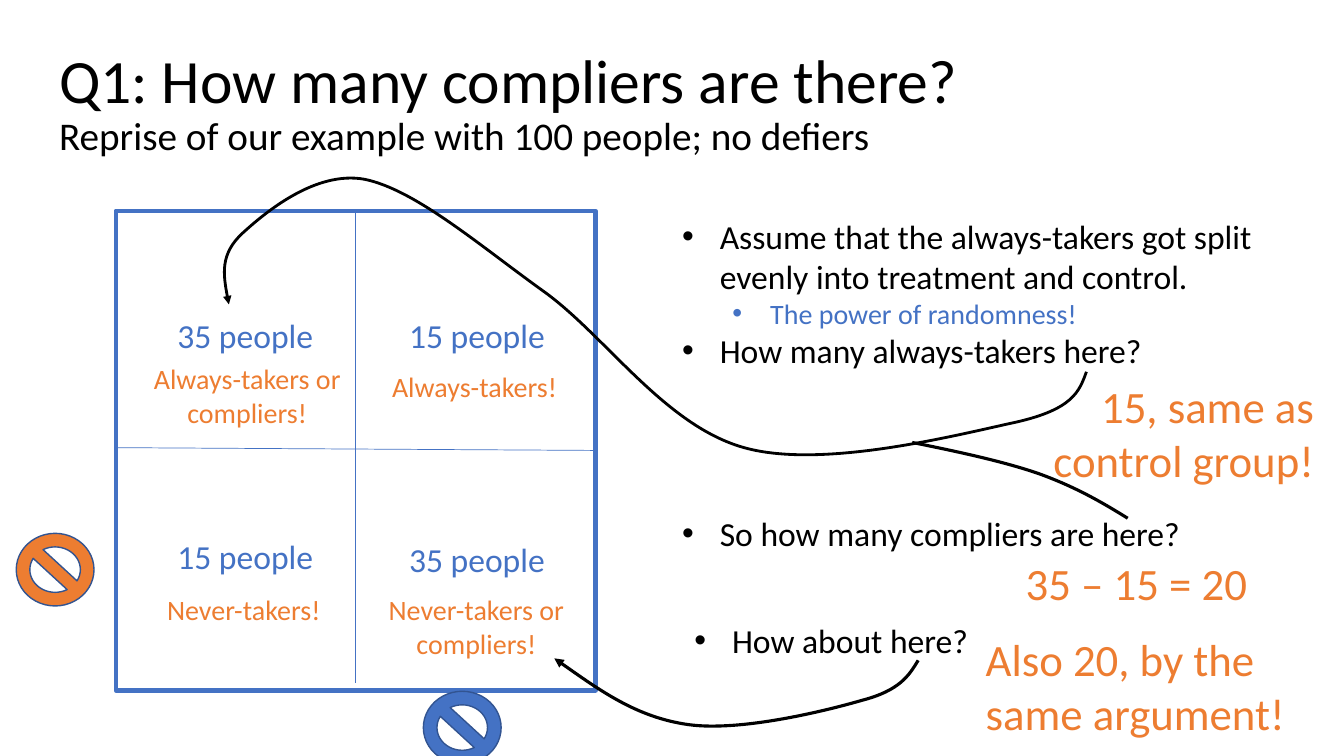
from pptx import Presentation
from pptx.dml.color import RGBColor
from pptx.enum.shapes import MSO_CONNECTOR, MSO_SHAPE
from pptx.enum.text import MSO_ANCHOR, PP_ALIGN
from pptx.oxml import parse_xml
from pptx.oxml.ns import nsdecls, qn
from pptx.oxml.xmlchemy import OxmlElement
from pptx.util import Cm, Pt

COLORS = {"ink": "000000", "blue": "4472C4", "orange": "ED7D31", "edge": "325491"}
FORMATS = {
    "title": {"size": 44, "color": "ink"},
    "subtitle": {"size": 28, "color": "ink"},
    "count": {"size": 24, "color": "blue"},
    "group": {"size": 20, "color": "orange"},
    "question": {"size": 24, "color": "ink"},
    "remark": {"size": 20, "color": "blue"},
    "answer": {"size": 32, "color": "orange"},
}


def rgb(name):
    return RGBColor.from_string(COLORS[name])


def style_font(font, kind):
    fmt = FORMATS[kind]
    for name, value in {"name": "Calibri", "size": Pt(fmt["size"])}.items():
        setattr(font, name, value)
    font.color.rgb = rgb(fmt["color"])


def style_line(sp, color, width):
    sp.line.color.rgb = rgb(color)
    sp.line.width = Pt(width)


def text_frame(s, x, y, w, h, anchor=MSO_ANCHOR.TOP):
    tf = s.shapes.add_textbox(Cm(x), Cm(y), Cm(w), Cm(h)).text_frame
    for name, value in {"word_wrap": True, "vertical_anchor": anchor}.items():
        setattr(tf, name, value)
    return tf


def add_text(s, x, y, w, h, text, kind, align=PP_ALIGN.LEFT):
    p = text_frame(s, x, y, w, h).paragraphs[0]
    p.alignment = align
    r = p.add_run()
    r.text = text
    style_font(r.font, kind)


def add_bullets(s, x, y, w, h, items):
    tf = text_frame(s, x, y, w, h)
    for i, (text, kind, level) in enumerate(items):
        p = tf.paragraphs[0] if i == 0 else tf.add_paragraph()
        p.level = level
        pPr = p._p.get_or_add_pPr()
        pPr.set("marL", str(Cm(0.95 + 1.27 * level)))
        pPr.set("indent", str(Cm(-0.95)))
        pPr.append(parse_xml(f'<a:buFont {nsdecls("a")} typeface="Arial"/>'))
        pPr.append(parse_xml(f'<a:buChar {nsdecls("a")} char="•"/>'))
        r = p.add_run()
        r.text = text
        style_font(r.font, kind)


def add_curve(s, points, width, arrow):
    """Draw a chain of cubic curves: a start, then three points per curve."""
    pts = [(Cm(x), Cm(y)) for x, y in points]
    builder = s.shapes.build_freeform(*pts[0])
    builder.add_line_segments(pts[1:], close=False)
    sp = builder.convert_to_shape()
    sp.shadow.inherit = False
    sp.fill.background()
    style_line(sp, "ink", width)

    # Turn each three straight segments into one cubic segment
    outline = next(sp._element.iter(qn("a:path")))
    segments = outline.findall(qn("a:lnTo"))
    for i in range(0, len(segments), 3):
        cubic = OxmlElement("a:cubicBezTo")
        for seg in segments[i:i + 3]:
            cubic.append(seg[0])
            outline.remove(seg)
        outline.append(cubic)
    if arrow:
        sp.line._get_or_add_ln().append(
            parse_xml(f'<a:tailEnd {nsdecls("a")} type="triangle"/>'))


def draw_title(s, x, y, w, h):
    p = text_frame(s, x, y, w, h, MSO_ANCHOR.MIDDLE).paragraphs[0]
    p.line_spacing = 0.9
    r = p.add_run()
    r.text = "Q1: How many compliers are there?"
    style_font(r.font, "title")
    p.add_line_break()
    r = p.add_run()
    r.text = "Reprise of our example with 100 people; no defiers"
    style_font(r.font, "subtitle")


def draw_square(s, x, y, w, h):
    # Frame
    sp = s.shapes.add_shape(MSO_SHAPE.RECTANGLE, Cm(x), Cm(y), Cm(w), Cm(h))
    sp.shadow.inherit = False
    sp.fill.background()
    style_line(sp, "blue", 3)

    # Dividers
    for x1, y1, x2, y2 in [(w / 2, 0, w / 2, h - 0.18), (0, 5.97, w, 6.04)]:
        sp = s.shapes.add_connector(MSO_CONNECTOR.STRAIGHT, Cm(x + x1), Cm(y + y1),
                                    Cm(x + x2), Cm(y + y2))
        style_line(sp, "blue", 0.5)
        sp._element.spPr.append(OxmlElement("a:effectLst"))

    # Ban signs
    for dx, dy, color in [(7.75, 12.11, "blue"), (-2.51, 8.13, "orange")]:
        sp = s.shapes.add_shape(MSO_SHAPE.NO_SYMBOL, Cm(x + dx), Cm(y + dy),
                                Cm(1.96), Cm(1.83))
        sp.shadow.inherit = False
        sp.fill.solid()
        sp.fill.fore_color.rgb = rgb(color)
        style_line(sp, "edge", 1)

    # Head counts
    for dx, dy, text in [(1.3, 2.51, "35 people"), (7.14, 2.51, "15 people"),
                         (1.3, 8.08, "15 people"), (7.14, 8.15, "35 people")]:
        add_text(s, x + dx, y + dy, 4.22, 1.27, text, "count")

    # Who is in each cell
    for dx, dy, cw, ch, text, align in [
        (0.26, 3.68, 6.1, 1.96, "Always-takers or compliers!", PP_ALIGN.CENTER),
        (6.71, 3.88, 4.9, 1.12, "Always-takers!", PP_ALIGN.LEFT),
        (1.04, 9.5, 5.16, 1.12, "Never-takers!", PP_ALIGN.LEFT),
        (6.2, 9.5, 5.77, 1.96, "Never-takers or compliers!", PP_ALIGN.CENTER),
    ]:
        add_text(s, x + dx, y + dy, cw, ch, text, "group", align)


def draw_questions(s, x, y, w, h):
    add_bullets(s, x, y, w, 4.19, [
        ("Assume that the always-takers got split evenly into treatment and control.",
         "question", 0),
        ("The power of randomness!", "remark", 1),
        ("How many always-takers here?", "question", 0),
    ])
    for dx, dy, text in [(0, 7.49, "So how many compliers are here?"),
                         (0.31, 10.18, "How about here?")]:
        add_bullets(s, x + dx, y + dy, w, 1.27, [(text, "question", 0)])

    # Answers
    for dx, dy, aw, ah, text, align in [
        (7.16, 4.11, 9.27, 3, "15, same as control group!", PP_ALIGN.RIGHT),
        (8.66, 8.56, 8.1, 1.63, "35 – 15 = 20", PP_ALIGN.LEFT),
        (7.65, 10.49, 8.1, 3, "Also 20, by the same argument!", PP_ALIGN.LEFT),
    ]:
        add_text(s, x + dx, y + dy, aw, ah, text, "answer", align)


def draw_pointers(s, x, y, w, h):
    curves = [
        # Always-takers question to the top left cell
        ([(27.38, 9.37), (27.2, 9.86), (27.05, 10.31), (25.6, 10.64),
          (24.16, 10.95), (20.73, 11.84), (18.75, 11.28),
          (16.74, 10.72), (15.24, 8.43), (13.67, 7.32),
          (12.07, 6.17), (10.46, 4.78), (9.19, 4.52),
          (7.95, 4.29), (6.68, 5.36), (6.12, 5.87),
          (5.54, 6.4), (5.64, 7.04), (5.77, 7.67)], 2, True),
        # Compliers question joining the first curve
        ([(28.42, 13.06), (27.76, 12.65), (27.1, 12.27), (26.19, 11.94),
          (25.3, 11.63), (24.13, 11.38), (22.99, 11.15)], 2.25, False),
        # Last question to the bottom right cell
        ([(23.14, 16.64), (22.91, 17.02), (22.68, 17.4), (21.72, 17.65),
          (20.75, 17.93), (18.64, 18.44), (17.35, 18.26),
          (16.05, 18.08), (15.01, 17.32), (13.97, 16.59)], 2.25, True),
    ]
    for points, width, arrow in curves:
        add_curve(s, [(x + px, y + py) for px, py in points], width, arrow)


def main():
    prs = Presentation()
    prs.slide_width, prs.slide_height = Cm(33.87), Cm(19.05)
    s = prs.slides.add_slide(prs.slide_layouts[6])
    draw_title(s, 1.24, 0.79, 29.21, 3.68)
    draw_square(s, 2.92, 5.31, 12.09, 12.09)
    draw_questions(s, 16.94, 5.31, 15.52, 13.49)
    draw_pointers(s, 0, 0, 33.87, 19.05)
    prs.save("out.pptx")


if __name__ == "__main__":
    main()
